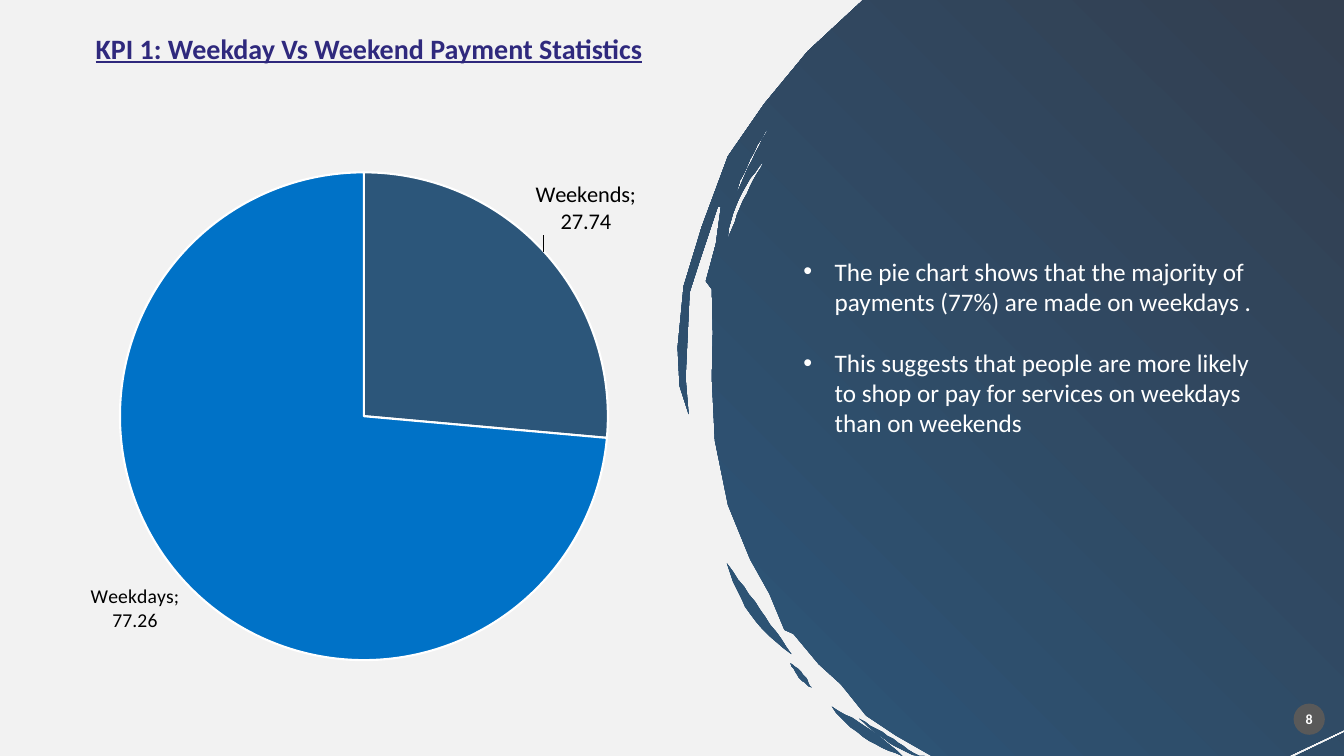
from math import cos, pi, radians, sin

from lxml.etree import SubElement
from pptx import Presentation
from pptx.chart.data import CategoryChartData
from pptx.dml.color import RGBColor
from pptx.enum.chart import XL_CHART_TYPE, XL_LABEL_POSITION
from pptx.enum.shapes import MSO_SHAPE
from pptx.enum.text import MSO_ANCHOR, PP_ALIGN
from pptx.oxml import parse_xml
from pptx.oxml.ns import nsdecls, qn
from pptx.util import Inches, Pt

PALE = RGBColor(0xF2, 0xF2, 0xF2)
SLATE = RGBColor(0x33, 0x3F, 0x50)
NAVY = RGBColor(0x2C, 0x56, 0x7A)
BLUE = RGBColor(0x00, 0x72, 0xC7)
INDIGO = RGBColor(0x2F, 0x29, 0x7D)
GREY = RGBColor(0x59, 0x59, 0x59)
WHITE = RGBColor(0xFF, 0xFF, 0xFF)
BLACK = RGBColor(0, 0, 0)

WIDTH, HEIGHT = 13.33, 7.5
DISC_CENTER = (12.5, 3.75)
EDGE_ANGLE_RADIUS = [
    (-43.6, 5.44), (-35.8, 5.54), (-28.9, 5.62), (-22.6, 5.72), (-15.2, 5.74), (-9, 5.79),
    (-3, 5.79), (0.8, 5.76), (3.6, 5.68), (0, 5.7), (-8.5, 5.72), (-11.8, 5.68),
    (-17.5, 5.64), (-17.6, 5.61), (-13.8, 5.56), (-9.9, 5.58), (-9.2, 5.51), (-4.7, 5.45),
    (0, 5.44), (6.5, 5.44), (13.4, 5.43), (19.6, 5.37), (23.7, 5.32), (27.9, 5.34),
    (28.7, 5.28), (33, 5.22), (36.2, 5.15), (40.6, 5.15), (44.5, 5.06), (49, 4.97),
]
STROKES = [
    {"angles": (-23.7, -14.2), "radii": (5.37, 5.46), "bow": 0.03, "thickness": 0.05},
    {"angles": (-28, -18.4), "radii": (5.47, 5.52), "bow": 0, "thickness": 0.02},
    {"angles": (19.2, 30.5), "radii": (5.6, 5.4), "bow": 0.02, "thickness": 0.11},
    {"angles": (31.3, 34.6), "radii": (5.45, 5.41), "bow": 0, "thickness": 0.05},
    {"angles": (37.5, 46.6), "radii": (5.36, 5.16), "bow": 0, "thickness": 0.1},
    {"angles": (40.3, 48.7), "radii": (5.22, 5.05), "bow": 0, "thickness": 0.05},
]
DISC_CORNER = [(12.78, HEIGHT), (WIDTH, 7.24), (WIDTH, 0)]
CORNER_STROKE = [(WIDTH, 7.27), (WIDTH, HEIGHT), (12.85, HEIGHT)]
STROKE_STEPS = 12

FINDINGS = [
    "The pie chart shows that the majority of payments (77%) are made on weekdays .",
    "This suggests that people are more likely to shop or pay for services on weekdays than on weekends",
]
PAYMENTS = {"Weekends": 27.74, "Weekdays": 77.26}
SLICES = [(NAVY, 16), (BLUE, 14)]
LABEL_SIZE_URI = "{CE6537A1-D6FC-4f65-9D91-7224C49458BB}"
LABEL_SIZE_NAMESPACE = "http://schemas.microsoft.com/office/drawing/2012/chart"


def set_font(font, color, **values):
    for name, value in {"name": "Calibri", **values}.items():
        setattr(font, name, value)
    font.color.rgb = color


def manual_layout(**values):
    tags = "".join(f'<c:{tag} val="{value}"/>' for tag, value in values.items())
    return parse_xml(f'<c:layout {nsdecls("c")}><c:manualLayout>{tags}</c:manualLayout></c:layout>')


def label_size(width, height):
    return parse_xml(
        f'<c:extLst {nsdecls("c")}><c:ext uri="{LABEL_SIZE_URI}" xmlns:c15="{LABEL_SIZE_NAMESPACE}">'
        f'<c15:layout><c:manualLayout><c:w val="{width}"/><c:h val="{height}"/></c:manualLayout>'
        "</c15:layout></c:ext></c:extLst>"
    )


def disc_point(angle, radius):
    x, y = DISC_CENTER
    turn = radians(angle)
    return x - radius * cos(turn), min(max(y + radius * sin(turn), 0), HEIGHT)


def tapered_stroke(angles, radii, bow, thickness):
    sides = {1: [], -1: []}
    for step in range(STROKE_STEPS + 1):
        share = step / STROKE_STEPS
        swell = sin(pi * share)
        angle, radius = (start + (end - start) * share for start, end in (angles, radii))
        for side, points in sides.items():
            points.append(disc_point(angle, radius + swell * (bow + side * thickness / 2)))
    return sides[1] + sides[-1][::-1]


def add_brush_disc(slide, left, top):
    disc_outline = [disc_point(*edge) for edge in EDGE_ANGLE_RADIUS] + DISC_CORNER
    brush = [disc_outline, CORNER_STROKE, *(tapered_stroke(**stroke) for stroke in STROKES)]
    outlines = [[(round(x * 100), round(y * 100)) for x, y in outline] for outline in brush]
    builder = slide.shapes.build_freeform(*outlines[0][0], scale=Inches(0.01))
    builder.add_line_segments(outlines[0][1:])
    for outline in outlines[1:]:
        builder.move_to(*outline[0])
        builder.add_line_segments(outline[1:])
    disc = builder.convert_to_shape(Inches(left), Inches(top))
    disc.shadow.inherit = False
    disc.line.fill.background()
    disc.fill.gradient()
    for stop, color in zip(disc.fill.gradient_stops, (SLATE, NAVY)):
        stop.color.rgb = color
    gradient = disc._element.spPr.find(qn("a:gradFill"))
    gradient.remove(gradient.find(qn("a:lin")))
    sweep = SubElement(gradient, qn("a:path"), {"path": "circle"})
    SubElement(sweep, qn("a:fillToRect"), l="100000", b="100000")


def add_heading(slide, left, top, width, height):
    heading = slide.shapes.title
    box = {"left": left, "top": top, "width": width, "height": height}
    for name, value in box.items():
        setattr(heading, name, Inches(value))
    heading.text_frame.vertical_anchor = MSO_ANCHOR.TOP
    line = heading.text_frame.paragraphs[0]
    line.alignment = PP_ALIGN.CENTER
    line.line_spacing = 1.0
    line.space_before = Pt(0)
    run = line.add_run()
    run.text = "KPI 1: Weekday Vs Weekend Payment Statistics"
    set_font(run.font, INDIGO, size=Pt(20), bold=True, underline=True)


def add_payment_pie(slide, left, top, width, height):
    payments = CategoryChartData()
    payments.categories = list(PAYMENTS)
    payments.add_series("Series 1", list(PAYMENTS.values()))
    pie = slide.shapes.add_chart(
        XL_CHART_TYPE.PIE, Inches(left), Inches(top), Inches(width), Inches(height), payments
    ).chart
    pie.has_legend = False
    pie.has_title = False
    set_font(pie.font, BLACK, size=Pt(10))
    plot = pie.plots[0]
    plot.vary_by_categories = True
    for index, (color, size) in enumerate(SLICES):
        point = plot.series[0].points[index]
        point.format.fill.solid()
        point.format.fill.fore_color.rgb = color
        point.format.line.color.rgb = WHITE
        point.format.line.width = Pt(1.5)
        set_font(point.data_label.font, BLACK, size=Pt(size))
        point.data_label.position = XL_LABEL_POSITION.OUTSIDE_END
    labels = pie.element.findall(".//" + qn("c:dLbl"))
    for label in labels:
        label.find(qn("c:showCatName")).set("val", "1")
    weekends = labels[0]
    weekends.insert(1, manual_layout(x=-0.02, y=-0.02))
    weekends.append(label_size(0.19, 0.11))
    area = pie.element.find(".//" + qn("c:plotArea"))
    for layout in area.findall(qn("c:layout")):
        area.remove(layout)
    area.insert(0, manual_layout(layoutTarget="inner", xMode="edge", yMode="edge",
                                 x=0.66 / width, y=0.6 / height, w=4.84 / width, h=4.86 / height))


def add_findings(slide, left, top, width, height):
    findings = slide.shapes.add_textbox(Inches(left), Inches(top), Inches(width), Inches(height))
    frame = findings.text_frame
    frame.word_wrap = True
    for index, finding in enumerate(FINDINGS):
        line = frame.add_paragraph() if index else frame.paragraphs[0]
        line.space_before = Pt(22 if index else 0)
        run = line.add_run()
        run.text = finding
        set_font(run.font, WHITE, size=Pt(18))
        properties = line._p.get_or_add_pPr()
        properties.set("marL", str(Inches(0.31)))
        properties.set("indent", str(-Inches(0.31)))
        SubElement(properties, qn("a:buFont"), typeface="Arial")
        SubElement(properties, qn("a:buChar"), char="•")


def add_page_badge(slide, left, top, size):
    badge = slide.shapes.add_shape(MSO_SHAPE.OVAL, *map(Inches, (left, top, size, size)))
    badge.shadow.inherit = False
    badge.fill.solid()
    badge.fill.fore_color.rgb = GREY
    badge.line.fill.background()
    frame = badge.text_frame
    for side in ("left", "top", "right", "bottom"):
        setattr(frame, f"margin_{side}", 0)
    frame.vertical_anchor = MSO_ANCHOR.MIDDLE
    line = frame.paragraphs[0]
    line.alignment = PP_ALIGN.CENTER
    run = line.add_run()
    run.text = "8"
    set_font(run.font, WHITE, size=Pt(10), bold=True)


def main():
    deck = Presentation()
    deck.slide_width, deck.slide_height = Inches(WIDTH), Inches(HEIGHT)
    slide = deck.slides.add_slide(deck.slide_layouts[5])
    slide.background.fill.solid()
    slide.background.fill.fore_color.rgb = PALE
    add_brush_disc(slide, 0, 0)
    add_page_badge(slide, 12.83, 6.98, 0.31)
    add_findings(slide, 7.87, 2.49, 4.66, 2.52)
    add_heading(slide, 0.06, 0.26, 7.2, 0.44)
    add_payment_pie(slide, 0.53, 1.1, 6.29, 5.88)
    deck.save("out.pptx")


if __name__ == "__main__":
    main()
